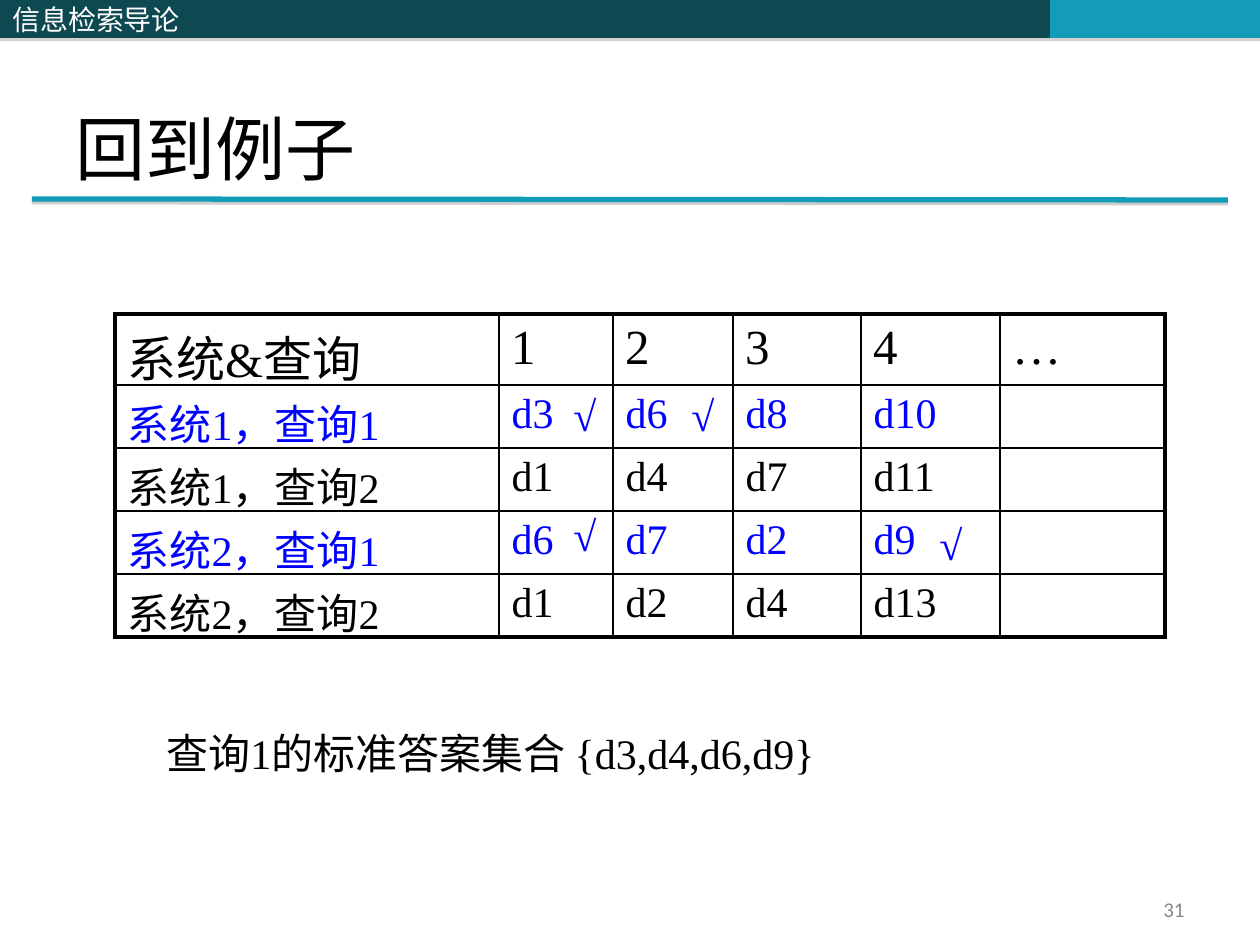
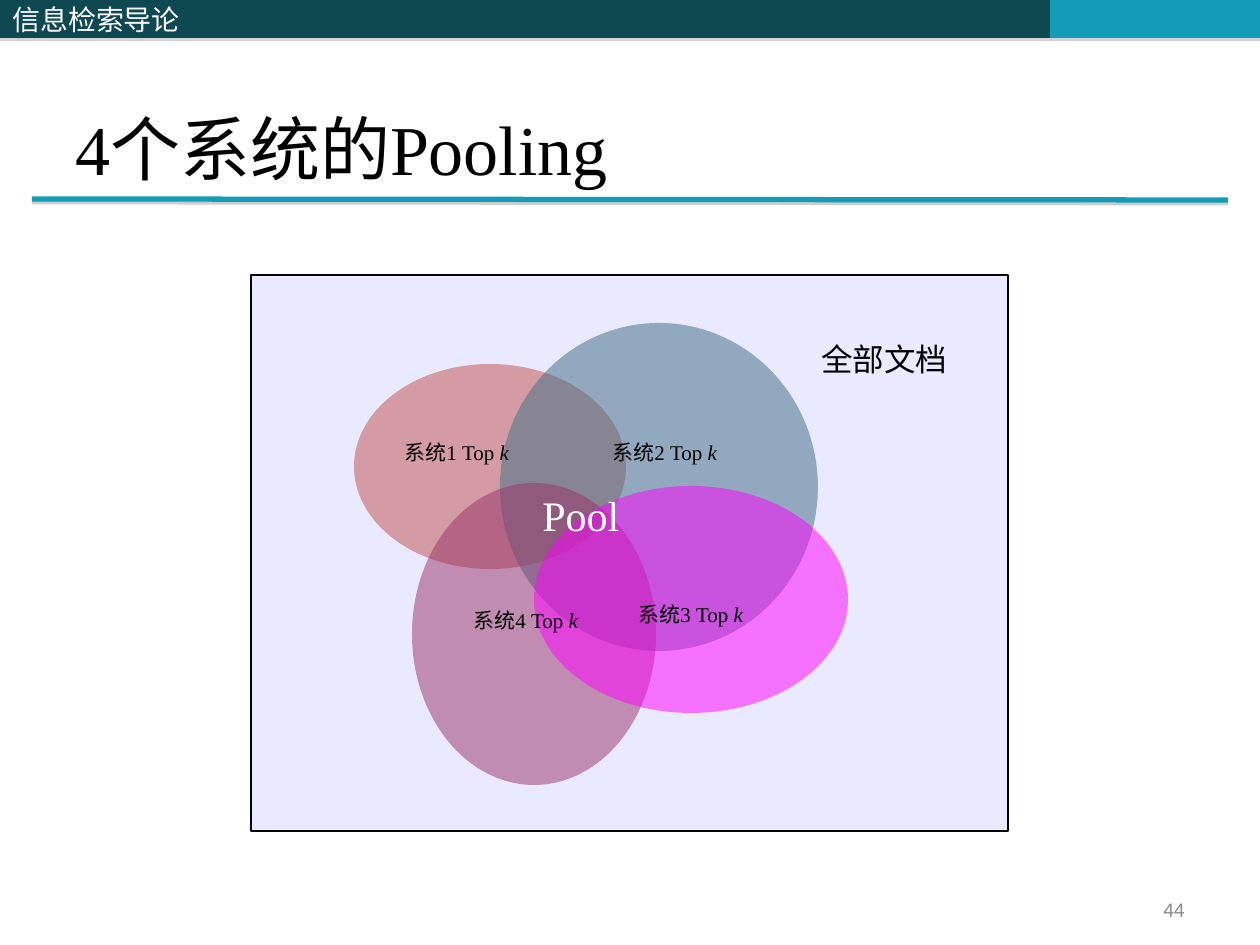
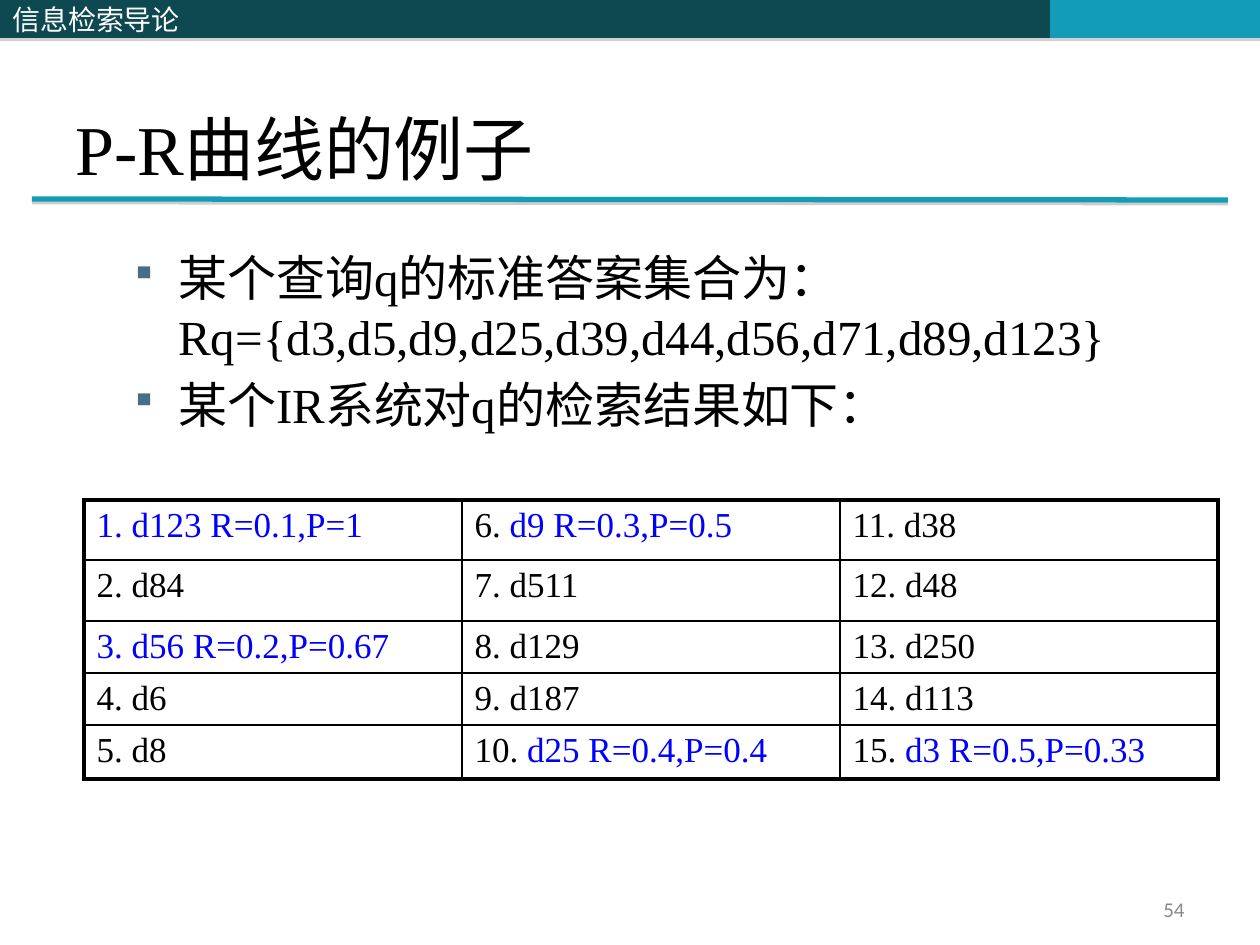
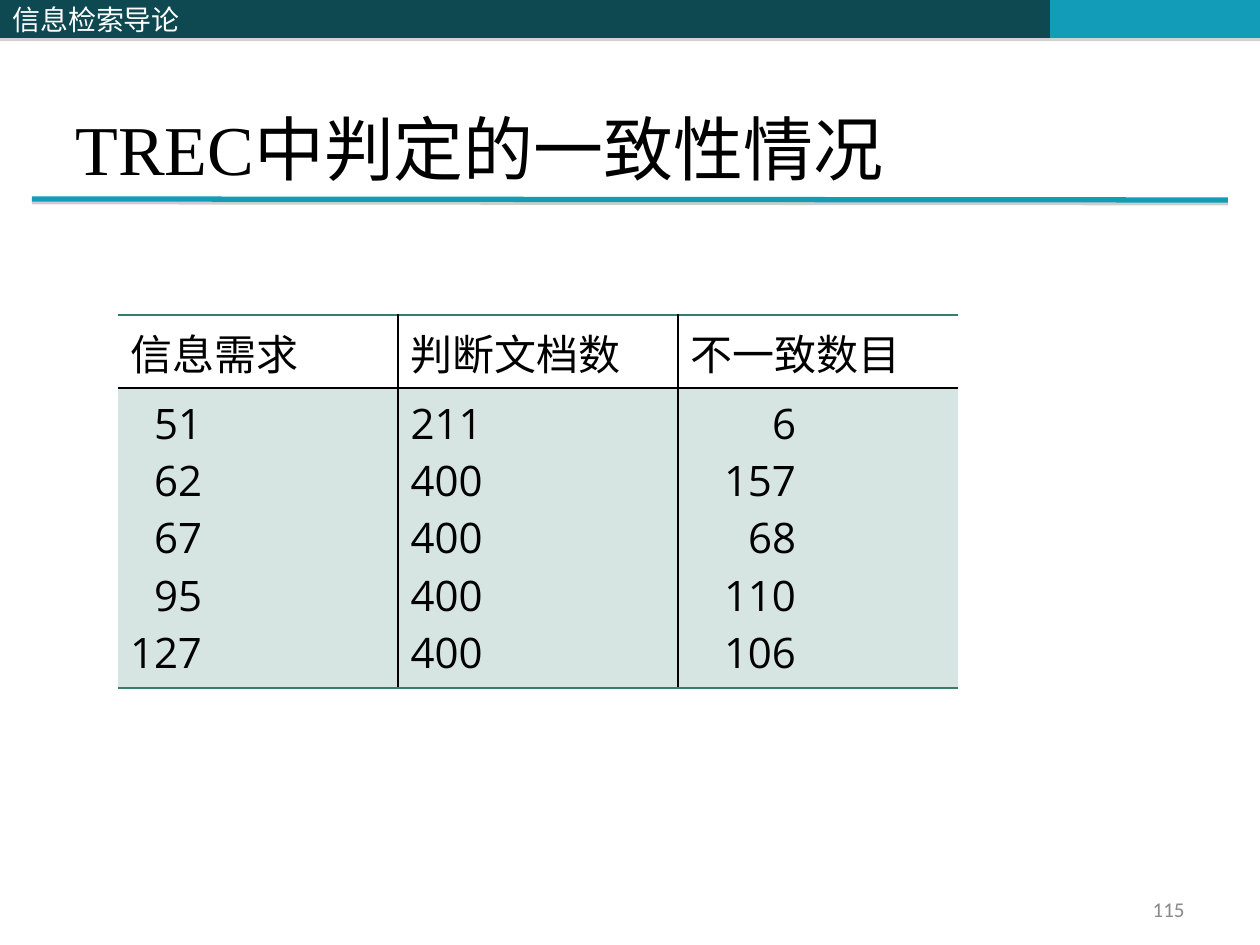
from dataclasses import dataclass
from typing import NamedTuple, Optional

from lxml.etree import SubElement
from pptx import Presentation
from pptx.dml.color import RGBColor
from pptx.enum.shapes import MSO_CONNECTOR, MSO_SHAPE
from pptx.enum.text import MSO_ANCHOR, PP_ALIGN
from pptx.oxml.ns import qn
from pptx.oxml.xmlchemy import OxmlElement
from pptx.util import Emu, Pt


@dataclass(frozen=True)
class Theme:
    """Colours, fonts and type sizes used on every page."""
    black: str = "000000"
    white: str = "FFFFFF"
    blue: str = "0000FF"
    gray: str = "898989"
    shadow: str = "808080"
    dark_teal: str = "0E4851"
    teal: str = "139CB7"
    green: str = "357E69"
    slate: str = "437085"
    lavender: str = "CCCCFF"
    red: str = "C0504D"
    plum: str = "993366"
    magenta: str = "FF00FF"
    serif: str = "Times New Roman"
    sans: str = "Open Sans"
    cjk: str = "Noto Sans CJK SC"
    plain: str = "Calibri"
    title: int = 40
    large: int = 28
    medium: int = 24
    cell: int = 20
    label: int = 18
    band: int = 16
    small: int = 12


THEME = Theme()


class Box(NamedTuple):
    """A rectangle in px."""
    left: int
    top: int
    width: int
    height: int

    def inside(self, left, top, width, height):
        """Return a box placed relative to this one."""
        return Box(self.left + left, self.top + top, width, height)

    def emu(self):
        """Return the four lengths in EMU."""
        return [px(value) for value in self]


class Span(NamedTuple):
    """A stretch of text in one style."""
    text: str
    size: int = THEME.medium
    color: str = THEME.black
    font: str = THEME.serif
    italic: bool = False


class Stroke(NamedTuple):
    """A border colour and its width in points."""
    color: str
    width: float


class Borders(NamedTuple):
    """The strokes of a table: top and bottom, sides, and inner lines."""
    ends: Stroke
    sides: Optional[Stroke]
    inner: Stroke


PAGE = Box(0, 0, 1260, 945)
HEAVY = Stroke(THEME.black, 2.25)
BOXED = Borders(HEAVY, HEAVY, Stroke(THEME.black, 1))
OPEN_SIDED = Borders(Stroke(THEME.green, 1), None, Stroke(THEME.black, 1.5))


def px(value):
    """Turn px into EMU."""
    return Emu(round(value * 914400 / 126))


def rgb(color):
    """Turn a hex string into a colour."""
    return RGBColor.from_string(color)


def write(frame, paras, align=PP_ALIGN.LEFT):
    """Write paragraphs, each a list of spans, into a text frame."""
    for index, spans in enumerate(paras):
        para = frame.add_paragraph() if index else frame.paragraphs[0]
        para.alignment = align
        for span in spans:
            run = para.add_run()
            run.text = span.text
            run.font.size = Pt(span.size)
            run.font.name = span.font
            run.font.color.rgb = rgb(span.color)
            if span.italic:
                run.font.italic = True


def add_text(page, box, paras, align=PP_ALIGN.LEFT, anchor=MSO_ANCHOR.TOP, wrap=True):
    """Add a text box and return its frame."""
    frame = page.shapes.add_textbox(*box.emu()).text_frame
    frame.word_wrap = wrap
    frame.vertical_anchor = anchor
    write(frame, paras, align)
    return frame


def set_alpha(element, percent):
    """Make the first colour within an element translucent."""
    color = next(element.iter(qn("a:srgbClr")))
    SubElement(color, qn("a:alpha"), val=str(percent * 1000))


def add_panel(page, kind, box, color, alpha=None):
    """Add a filled preset shape without an outline."""
    shape = page.shapes.add_shape(kind, *box.emu())
    shape.shadow.inherit = False
    shape.fill.solid()
    shape.fill.fore_color.rgb = rgb(color)
    shape.line.fill.background()
    if alpha:
        set_alpha(shape.element, alpha)
    return shape


def drop_shadow(shape, alpha, distance):
    """Give a shape a hard shadow straight below it."""
    properties = shape.element.spPr
    effects = properties.find(qn("a:effectLst"))
    if effects is None:
        effects = SubElement(properties, qn("a:effectLst"))
    outer = SubElement(effects, qn("a:outerShdw"), blurRad="0",
                       dist=str(Pt(distance)), dir="5400000", rotWithShape="0")
    SubElement(outer, qn("a:srgbClr"), val=THEME.shadow)
    set_alpha(outer, alpha)


def add_bands(page, box):
    """Add the course band along the top of a page."""
    bands = [(514, 536, THEME.dark_teal), (1050, 210, THEME.teal), (0, 514, THEME.dark_teal)]
    for left, width, color in bands:
        band = add_panel(page, MSO_SHAPE.RECTANGLE, box.inside(left, 0, width, box.height), color)
        drop_shadow(band, 35, 1.8)
    band.text_frame.vertical_anchor = MSO_ANCHOR.MIDDLE
    write(band.text_frame, [[Span("信息检索导论", THEME.band, THEME.white, THEME.cjk)]])


def add_heading(page, box, title):
    """Add the page title and the rule below it."""
    rule = page.shapes.add_connector(
        MSO_CONNECTOR.STRAIGHT, px(box.left - 31), px(box.top + 161),
        px(box.left + box.width + 31), px(box.top + 162))
    rule.line.color.rgb = rgb(THEME.teal)
    rule.line.width = Pt(3)
    drop_shadow(rule, 38, 1.6)
    add_text(page, box, [[Span(title, THEME.title)]], anchor=MSO_ANCHOR.BOTTOM)


def add_page(deck, title, number):
    """Add a blank page with band, heading and page number."""
    page = deck.slides.add_slide(deck.slide_layouts[6])
    add_bands(page, PAGE.inside(0, 0, 1260, 38))
    add_heading(page, PAGE.inside(63, 38, 1134, 158), title)
    add_text(page, PAGE.inside(903, 892, 294, 34),
             [[Span(str(number), THEME.small, THEME.gray, THEME.plain)]],
             PP_ALIGN.RIGHT, MSO_ANCHOR.MIDDLE)
    return page


def set_borders(cell, strokes):
    """Draw the left, right, top and bottom borders of a cell."""
    properties = cell._tc.get_or_add_tcPr()
    for index, (side, stroke) in enumerate(zip("LRTB", strokes)):
        line = OxmlElement(f"a:ln{side}")
        properties.insert(index, line)
        if stroke:
            line.set("w", str(Pt(stroke.width)))
            SubElement(SubElement(line, qn("a:solidFill")), qn("a:srgbClr"), val=stroke.color)
        else:
            SubElement(line, qn("a:noFill"))


def add_grid(page, box, widths, heights, rows, borders):
    """Add a table whose cells hold paragraphs of spans."""
    table = page.shapes.add_table(len(heights), len(widths), *box.emu()).table
    table.first_row = table.horz_banding = False
    for column, width in zip(table.columns, widths):
        column.width = px(width)
    for row, height in zip(table.rows, heights):
        row.height = px(height)
    last_row, last_column = len(heights) - 1, len(widths) - 1
    for y, row in enumerate(rows):
        for x, paras in enumerate(row):
            cell = table.cell(y, x)
            cell.margin_bottom = px(3)
            write(cell.text_frame, paras)
            cell.fill.background()
            set_borders(cell, [
                borders.inner if x else borders.sides,
                borders.inner if x < last_column else borders.sides,
                borders.inner if y else borders.ends,
                borders.inner if y < last_row else borders.ends])
    return table


def add_ranking(page, box):
    """Add the ranked results of two systems and tick the relevant ones."""
    lines = [
        ["系统&查询", "1", "2", "3", "4", "…"],
        ["系统1，查询1", "d3", "d6", "d8", "d10", ""],
        ["系统1，查询2", "d1", "d4", "d7", "d11", ""],
        ["系统2，查询1", "d6", "d7", "d2", "d9", ""],
        ["系统2，查询2", "d1", "d2", "d4", "d13", ""],
    ]
    rows = []
    for index, line in enumerate(lines):
        size = THEME.medium if index else THEME.large
        color = THEME.blue if index % 2 else THEME.black
        rows.append([[[Span(text, size, color)] if text else []] for text in line])
    add_grid(page, box, [384, 114, 120, 128, 139, 165], [71] + [63] * 4, rows, BOXED)
    for left, top in [(446, 189), (446, 69), (812, 198), (564, 69)]:
        add_text(page, box.inside(left, top, 49, 63),
                 [[Span("√", color=THEME.blue)]], wrap=False)


def add_pool(page, box):
    """Add the overlapping result sets within all documents."""
    universe = add_panel(page, MSO_SHAPE.RECTANGLE, box, THEME.lavender, 43)
    universe.line.color.rgb = rgb(THEME.black)
    universe.line.width = Pt(0.75)
    result_sets = [
        ((103, 89, 272, 205), THEME.red, 51),
        ((249, 48, 318, 328), THEME.slate, 53),
        ((161, 208, 244, 302), THEME.plum, 51),
        ((283, 211, 314, 227), THEME.magenta, 51),
    ]
    for place, color, alpha in result_sets:
        add_panel(page, MSO_SHAPE.OVAL, box.inside(*place), color, alpha)
    label_places = [(141, 158), (349, 158), (375, 320), (210, 326)]
    for system, (left, top) in enumerate(label_places, 1):
        add_text(page, box.inside(left, top, 149, 38), [[
            Span(f"系统{system} Top ", THEME.small), Span("k", THEME.small, italic=True)]])
    add_text(page, box.inside(558, 59, 199, 50), [[Span("全部文档", THEME.label)]])
    add_text(page, box.inside(279, 208, 198, 63), [[Span("Pool", color=THEME.white)]])


def add_bullets(page, box, texts):
    """Add a list with square bullets."""
    frame = add_text(page, box, [[Span(text, THEME.large)] for text in texts])
    for index, para in enumerate(frame.paragraphs):
        if index:
            para.space_before = Pt(5.6)
        properties = para._p.get_or_add_pPr()
        properties.set("marL", str(px(48)))
        properties.set("indent", str(-px(48)))
        color = SubElement(properties, qn("a:buClr"))
        SubElement(color, qn("a:srgbClr"), val=THEME.slate)
        SubElement(properties, qn("a:buSzPct"), val="75000")
        SubElement(properties, qn("a:buChar"), char="▪")


def add_results(page, box):
    """Add fifteen results in three columns, with recall and precision at hits."""
    documents = ["d123", "d84", "d56", "d6", "d8", "d9", "d511", "d129",
                 "d187", "d25", "d38", "d48", "d250", "d113", "d3"]
    hits = {1: "R=0.1,P=1", 3: "R=0.2,P=0.67", 6: "R=0.3,P=0.5",
            10: "R=0.4,P=0.4", 15: "R=0.5,P=0.33"}
    cells = []
    for rank, document in enumerate(documents, 1):
        if rank in hits:
            rank_color = THEME.blue if rank <= 5 else THEME.black
            spans = [Span(f"{rank}. ", THEME.cell, rank_color),
                     Span(f"{document} {hits[rank]}", THEME.cell, THEME.blue)]
        else:
            spans = [Span(f"{rank}. {document}", THEME.cell)]
        cells.append([spans])
    add_grid(page, box, [378] * 3, [60, 61, 52, 52, 54],
             [cells[row::5] for row in range(5)], BOXED)


def add_agreement(page, box):
    """Add the counts of judged documents and disagreements."""
    columns = [
        ("信息需求", THEME.sans, [51, 62, 67, 95, 127]),
        ("判断文档数", THEME.plain, [211, 400, 400, 400, 400]),
        ("不一致数目", THEME.plain, [6, 157, 68, 110, 106]),
    ]
    header = [[[Span(name, font=font)]] for name, font, _ in columns]
    body = [[[Span(str(value), font=THEME.sans)] for value in values]
            for _, _, values in columns]
    table = add_grid(page, box, [280] * 3, [73, 300], [header, body], OPEN_SIDED)
    for column, right_margin in enumerate([196, None, 162]):
        cell = table.cell(1, column)
        cell.fill.solid()
        cell.fill.fore_color.rgb = rgb(THEME.green)
        fill = cell._tc.tcPr.find(qn("a:solidFill"))
        set_alpha(fill, 20)
        if right_margin:
            cell.margin_left = px(0)
            cell.margin_right = px(right_margin)
            for para in cell.text_frame.paragraphs:
                para.alignment = PP_ALIGN.RIGHT


def main():
    """Build the deck and save it."""
    deck = Presentation()
    deck.slide_width, deck.slide_height = px(PAGE.width), px(PAGE.height)

    page = add_page(deck, "回到例子", 31)
    add_text(page, PAGE.inside(154, 721, 1052, 63),
             [[Span("查询1的标准答案集合 {d3,d4,d6,d9}")]])
    add_ranking(page, PAGE.inside(115, 314, 1050, 323))

    page = add_page(deck, "4个系统的Pooling", 44)
    add_pool(page, PAGE.inside(251, 275, 757, 556))

    page = add_page(deck, "P-R曲线的例子", 54)
    add_results(page, PAGE.inside(84, 500, 1134, 279))
    add_bullets(page, PAGE.inside(118, 241, 1022, 208), [
        "某个查询q的标准答案集合为：Rq={d3,d5,d9,d25,d39,d44,d56,d71,d89,d123}",
        "某个IR系统对q的检索结果如下：",
    ])

    page = add_page(deck, "TREC中判定的一致性情况", 115)
    add_agreement(page, PAGE.inside(118, 315, 840, 373))

    deck.save("out.pptx")


if __name__ == "__main__":
    main()
